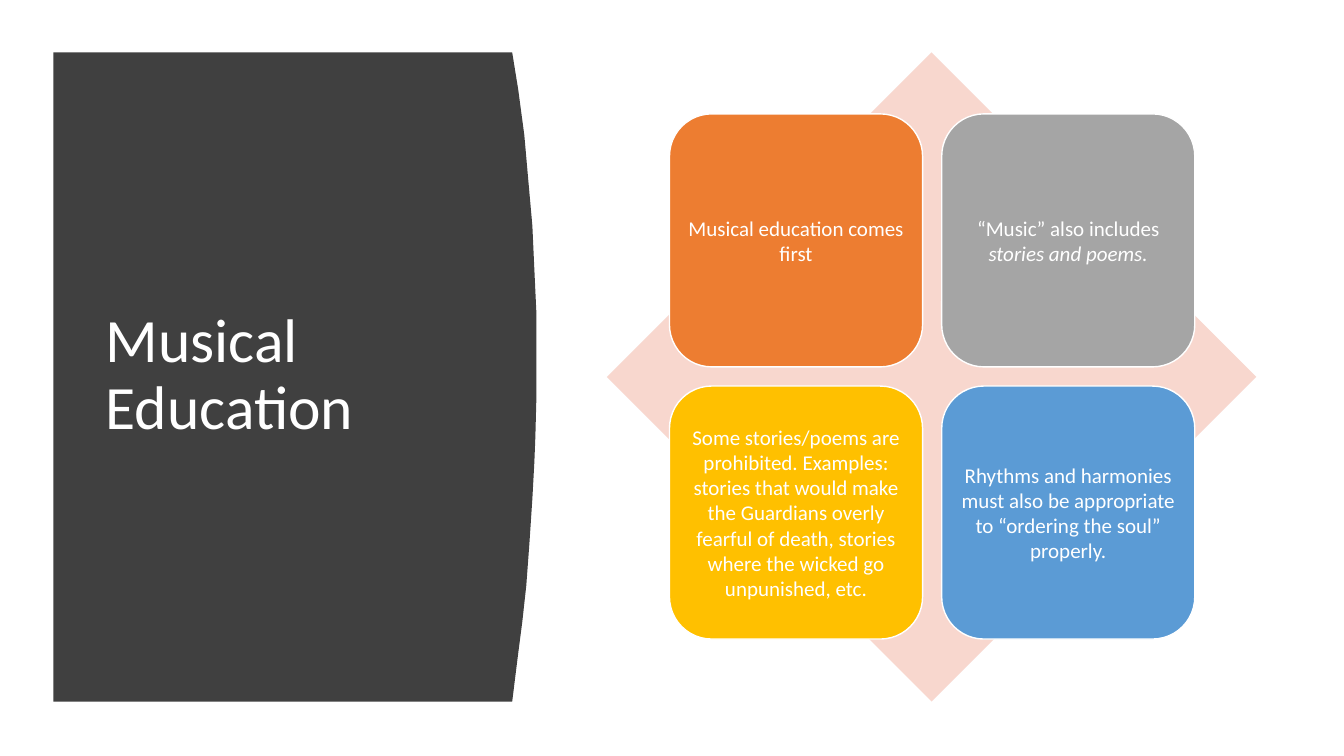
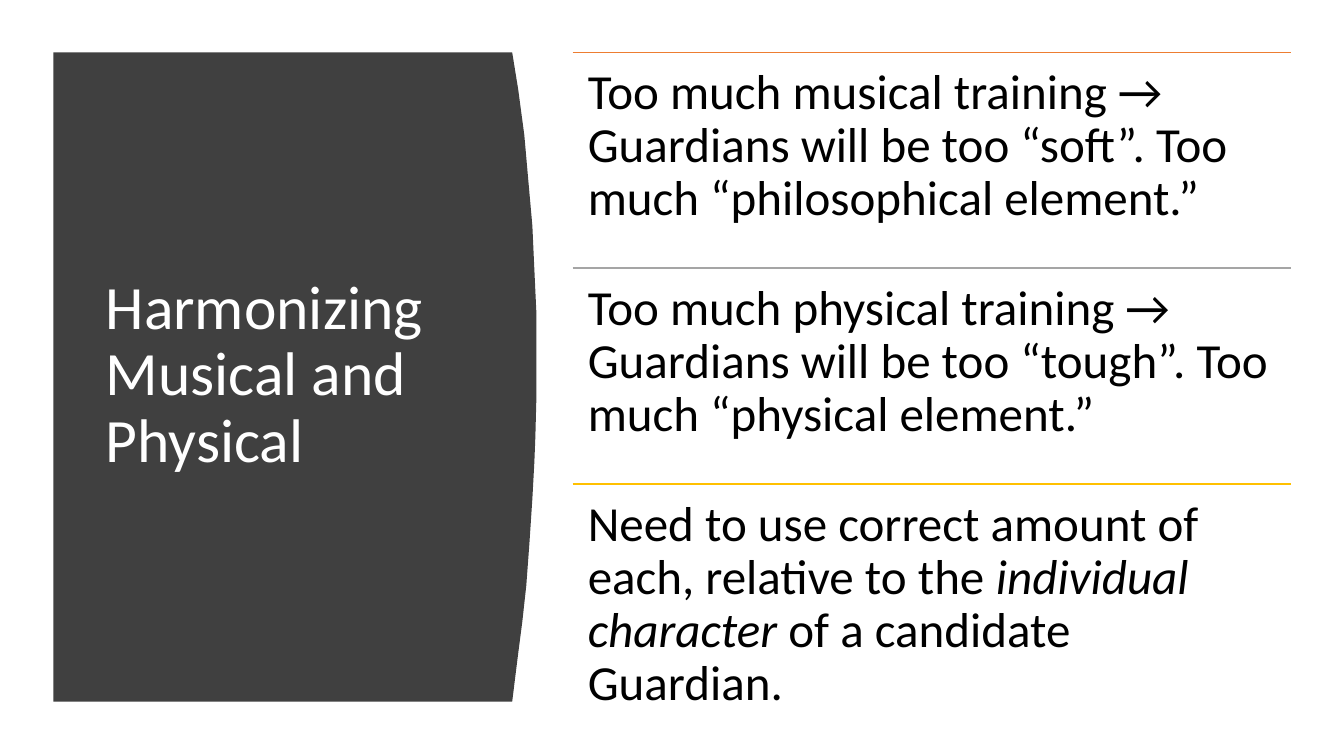
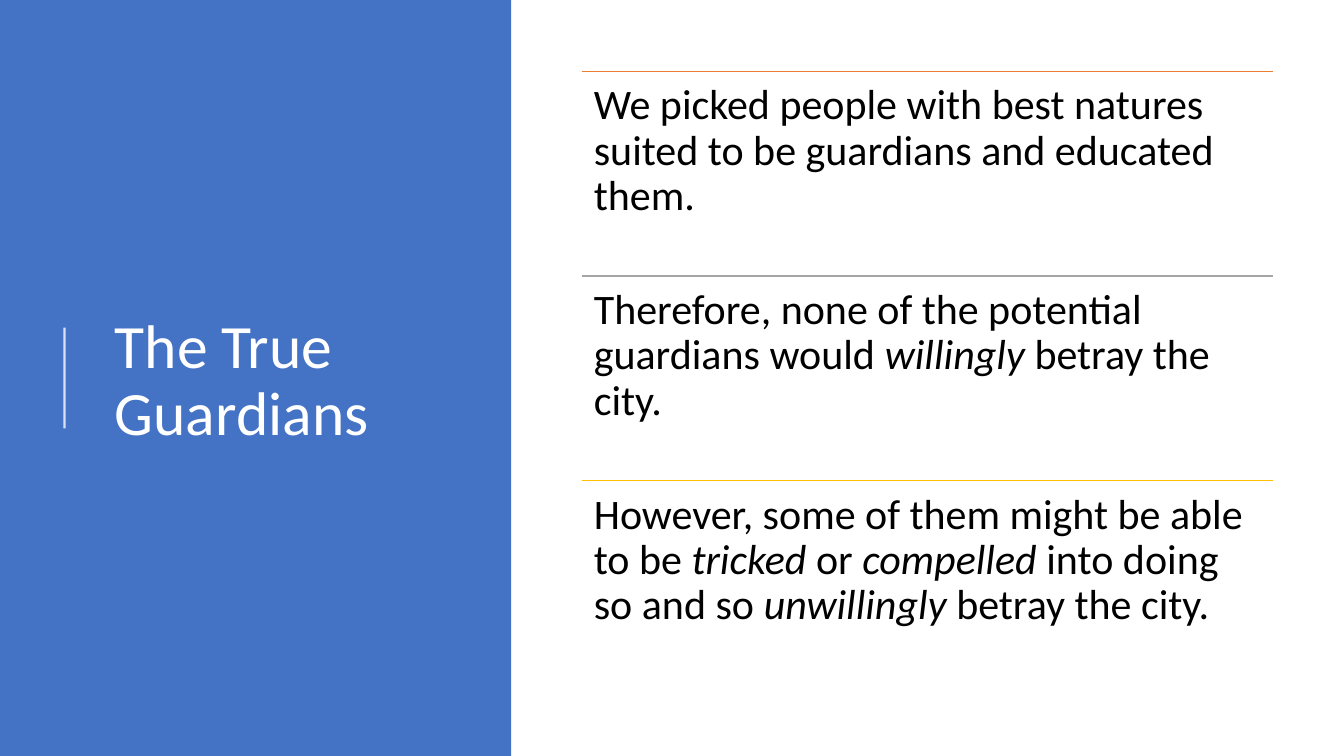
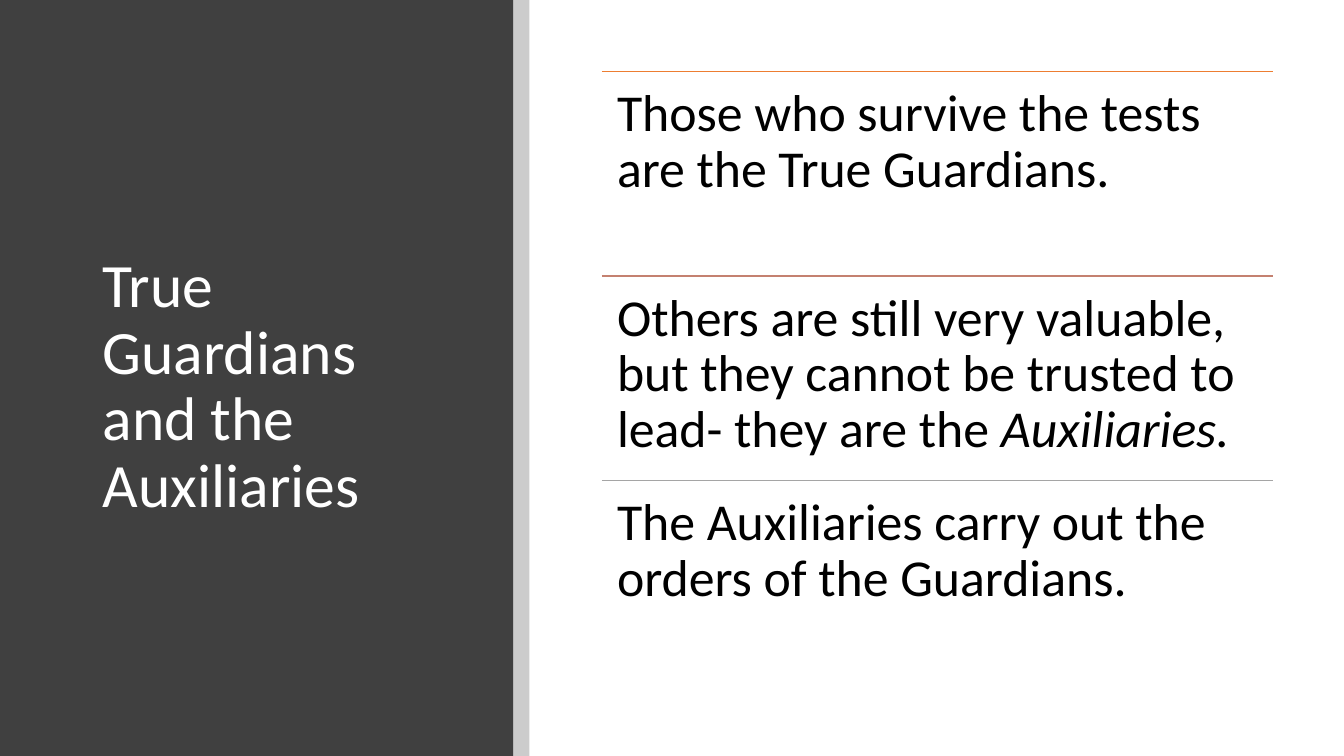
from dataclasses import dataclass

import pptx
import pptx.dml.color
import pptx.enum.shapes
import pptx.enum.text
import pptx.oxml
import pptx.oxml.ns
import pptx.util

PX = 9144  # 100 px to the inch
WIDE, HIGH = 1333, 750
FACE = "Calibri"
WHITE, BLACK, DARK = "FFFFFF", "000000", "404040"
BLUE, ORANGE, GRAY, GOLD = "4472C4", "ED7D31", "A5A5A5", "FFC000"
SKY, PEACH, ROSE = "5B9BD5", "F8D7CE", "C48170"

Kind = pptx.enum.shapes.MSO_SHAPE
Anchor = pptx.enum.text.MSO_ANCHOR
Align = pptx.enum.text.PP_ALIGN

# Right edge of the curved panel, from top to bottom
CURVE = [(508, 52), (514, 89), (520, 134), (524, 179), (528, 224), (530, 268),
         (532, 311), (532, 394), (531, 433), (530, 458), (528, 495),
         (525, 540), (522, 581), (518, 617), (514, 648), (508, 696)]


@dataclass
class Box:
    x: int
    y: int
    w: int
    h: int


@dataclass
class Style:
    size: int
    color: str
    pad: tuple[int, int]
    anchor: Anchor = Anchor.TOP
    align: Align = Align.LEFT
    lead: float = 0.9


@dataclass
class Item:
    """A text, with its italic parts between asterisks, and its colour."""
    text: str
    color: str


@dataclass
class Stack:
    """Rows of equal height, each under a coloured rule."""
    box: Box
    size: int
    pad: int
    items: list[Item]


TITLE = Style(44, WHITE, (10, 5), Anchor.MIDDLE)
TILE = Style(15, WHITE, (6, 6), Anchor.MIDDLE, Align.CENTER, 1.0)


def px(n: int) -> pptx.util.Emu:
    return pptx.util.Emu(n * PX)


def span(box: Box) -> list[pptx.util.Emu]:
    return [px(n) for n in (box.x, box.y, box.w, box.h)]


def rgb(code: str) -> pptx.dml.color.RGBColor:
    return pptx.dml.color.RGBColor.from_string(code)


def fade(shape, alpha: int) -> None:
    """Set the opacity, in percent, of the colours of a shape."""
    for tone in shape._element.spPr.iter(pptx.oxml.ns.qn("a:srgbClr")):
        mark = tone.makeelement(pptx.oxml.ns.qn("a:alpha"), {"val": str(alpha * 1000)})
        tone.append(mark)


def paint(shape, fill: str, edge: str = "") -> None:
    shape.shadow.inherit = False
    shape.fill.solid()
    shape.fill.fore_color.rgb = rgb(fill)
    if edge:
        shape.line.color.rgb = rgb(edge)
        shape.line.width = pptx.util.Pt(1)
    else:
        shape.line.fill.background()


def form(slide, kind: Kind, box: Box, fill: str, edge: str = ""):
    shape = slide.shapes.add_shape(kind, *span(box))
    paint(shape, fill, edge)
    return shape


def rule(slide, start: tuple[int, int], end: tuple[int, int], color: str,
         width: float = 1):
    line = slide.shapes.add_connector(
        pptx.enum.shapes.MSO_CONNECTOR.STRAIGHT, *map(px, start + end))
    line.line.color.rgb = rgb(color)
    line.line.width = pptx.util.Pt(width)
    props = line._element.spPr
    props.append(props.makeelement(pptx.oxml.ns.qn("a:effectLst"), {}))
    return line


def write(shape, text: str, style: Style) -> None:
    frame = shape.text_frame
    side, top = map(px, style.pad)
    form_at = {"word_wrap": True, "vertical_anchor": style.anchor,
               "margin_left": side, "margin_right": side,
               "margin_top": top, "margin_bottom": top}
    for name, value in form_at.items():
        setattr(frame, name, value)
    para = frame.paragraphs[0]
    para.alignment = style.align
    para.line_spacing = style.lead
    for i, part in enumerate(text.split("*")):
        run = para.add_run()
        run.text = part
        run.font.color.rgb = rgb(style.color)
        look = {"name": FACE, "size": pptx.util.Pt(style.size), "italic": i % 2 == 1}
        for name, value in look.items():
            setattr(run.font, name, value)


def label(slide, box: Box, text: str, style: Style) -> None:
    write(slide.shapes.add_textbox(*span(box)), text, style)


def curved(slide, title: str) -> None:
    """Draw the dark panel with a bowed right edge, and its title."""
    pen = slide.shapes.build_freeform(53, 52, scale=PX)
    pen.add_line_segments(CURVE + [(53, 696)], close=True)
    paint(pen.convert_to_shape(), DARK)
    label(slide, Box(95, 111, 374, 524), title, TITLE)


def stack(slide, rows: Stack) -> None:
    box, style = rows.box, Style(rows.size, BLACK, (rows.pad, rows.pad))
    step = box.h // len(rows.items)
    for i, item in enumerate(rows.items):
        y = box.y + i * step
        rule(slide, (box.x, y), (box.x + box.w, y), item.color)
        label(slide, Box(box.x, y, box.w, step), item.text, style)


def music(slide) -> None:
    curved(slide, "Musical Education")
    form(slide, Kind.DIAMOND, Box(602, 52, 644, 644), PEACH)
    tiles = [
        Item("Musical education comes first", ORANGE),
        Item("“Music” also includes *stories and poems.", GRAY),
        Item("Some stories/poems are prohibited. Examples: stories that would "
             "make the Guardians overly fearful of death, stories where the "
             "wicked go unpunished, etc.", GOLD),
        Item("Rhythms and harmonies must also be appropriate to “ordering the "
             "soul” properly.", SKY),
    ]
    side, step = 251, 270
    for i, tile in enumerate(tiles):
        row, col = divmod(i, 2)
        box = Box(664 + col * step, 113 + row * step, side, side)
        shape = form(slide, Kind.ROUNDED_RECTANGLE, box, tile.color, WHITE)
        write(shape, tile.text, TILE)


def blend(slide) -> None:
    curved(slide, "Harmonizing Musical and Physical")
    stack(slide, Stack(Box(568, 52, 712, 642), 35, 15, [
        Item("Too much musical training → Guardians will be too “soft”. "
             "Too much “philosophical element.”", ORANGE),
        Item("Too much physical training → Guardians will be too “tough”. "
             "Too much “physical element.”", GRAY),
        Item("Need to use correct amount of each, relative to the *individual "
             "character *of a candidate Guardian.", GOLD),
    ]))


def guards(slide) -> None:
    form(slide, Kind.RECTANGLE, Box(0, 0, 507, HIGH), BLUE)
    label(slide, Box(104, 78, 369, 602), "The True Guardians", TITLE)
    fade(rule(slide, (64, 425), (64, 325), WHITE, 1.5), 80)
    stack(slide, Stack(Box(577, 71, 686, 609), 30, 12, [
        Item("We picked people with best natures suited to be guardians and "
             "educated them.", ORANGE),
        Item("Therefore, none of the potential guardians would *willingly "
             "*betray the city.", GRAY),
        Item("However, some of them might be able to be *tricked *or* compelled "
             "*into doing so and so *unwillingly *betray the city.", GOLD),
    ]))


def helpers(slide) -> None:
    form(slide, Kind.RECTANGLE, Box(0, 0, 509, HIGH), DARK)
    label(slide, Box(92, 89, 365, 591), "True Guardians and the Auxiliaries", TITLE)
    fade(form(slide, Kind.RECTANGLE, Box(509, 0, 16, HIGH), BLACK), 20)
    stack(slide, Stack(Box(597, 71, 666, 609), 37, 15, [
        Item("Those who survive the tests are the True Guardians.", ORANGE),
        Item("Others are still very valuable, but they cannot be trusted to "
             "lead- they are the *Auxiliaries.", ROSE),
        Item("The Auxiliaries carry out the orders of the Guardians.", GRAY),
    ]))


def main() -> None:
    deck = pptx.Presentation()
    deck.slide_width, deck.slide_height = px(WIDE), px(HIGH)
    for draw in (music, blend, guards, helpers):
        draw(deck.slides.add_slide(deck.slide_layouts[6]))
    deck.save("out.pptx")


if __name__ == "__main__":
    main()
